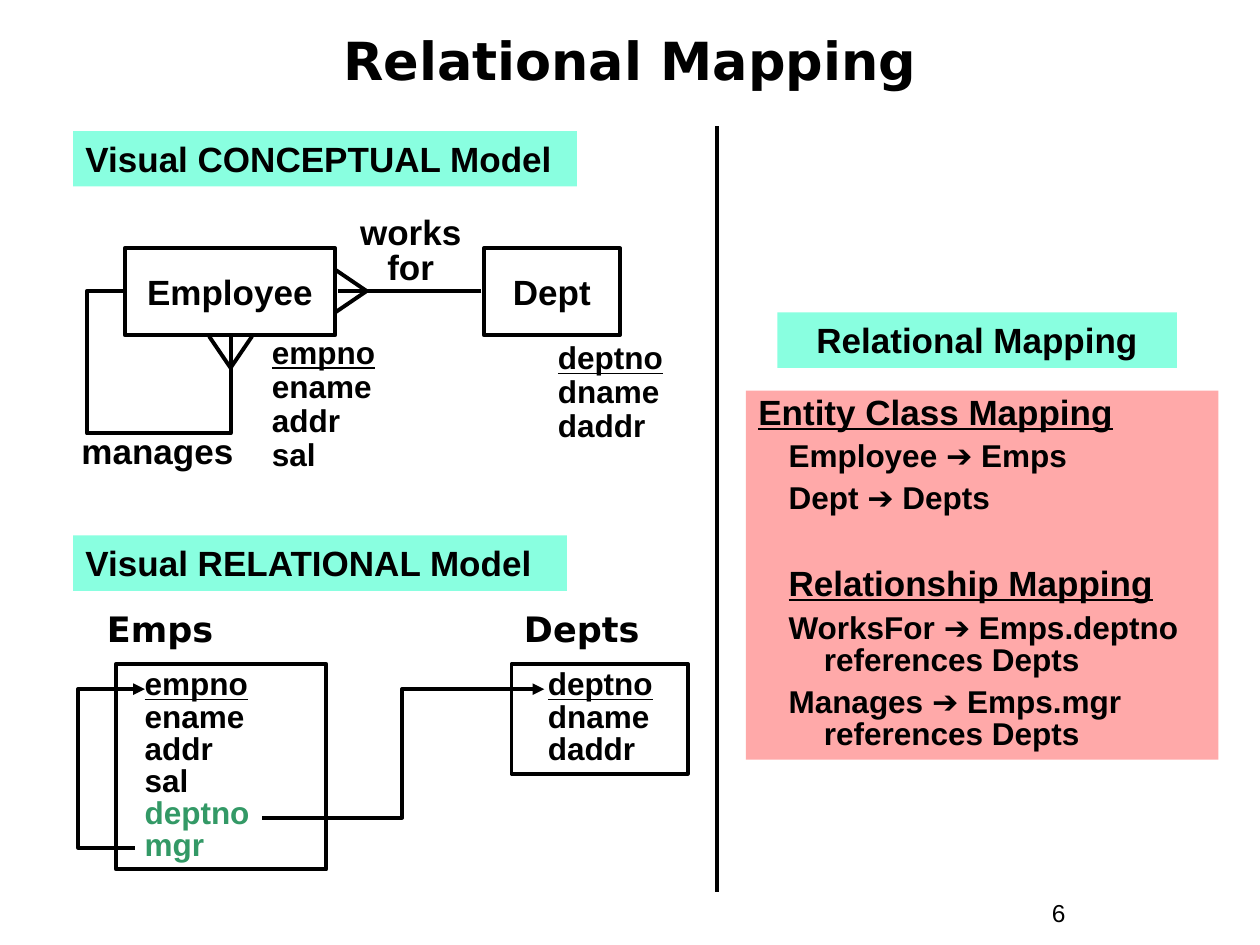
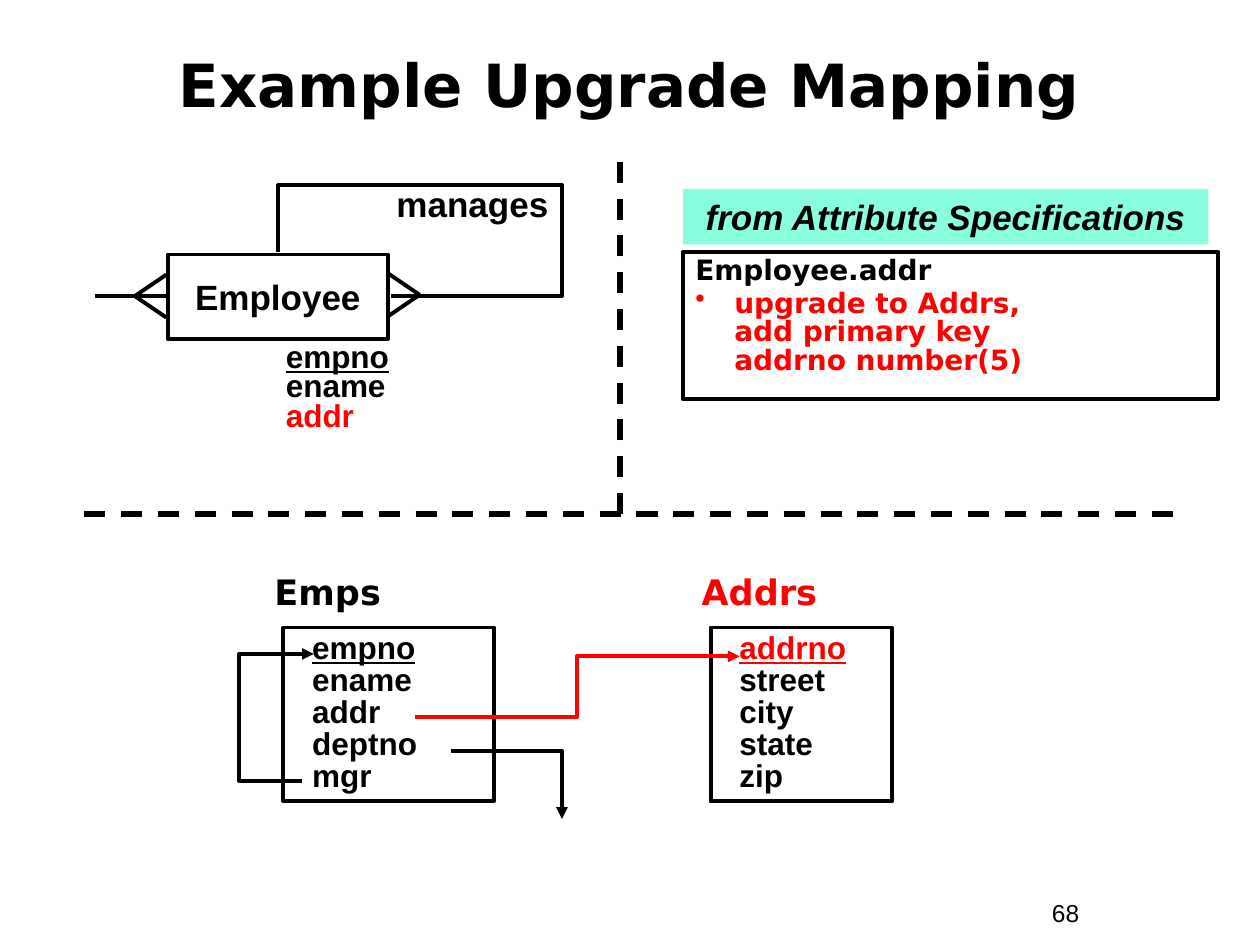
from dataclasses import dataclass, replace
from typing import Optional, Sequence

from lxml.etree import SubElement
from pptx import Presentation
from pptx.dml.color import RGBColor
from pptx.enum.dml import MSO_LINE
from pptx.enum.shapes import MSO_CONNECTOR as Connector, MSO_SHAPE as Preset
from pptx.enum.text import MSO_ANCHOR as Anchor, PP_ALIGN as Align
from pptx.oxml.ns import qn
from pptx.util import Inches, Pt

# Shared look
BLACK = RGBColor(0x00, 0x00, 0x00)
RED = RGBColor(0xFF, 0x00, 0x00)
GREEN = RGBColor(0x33, 0x99, 0x66)
MINT = RGBColor(0x89, 0xFF, 0xE0)
PINK = RGBColor(0xFF, 0xA9, 0xA9)
BODY_FONT = "Arial"
HEAD_FONT = "DejaVu Sans"
LINE_WIDTH = 2.25
DASH_WIDTH = 3
BAND_HEIGHT = 0.44
TABLE_SPACING = 0.85
FOOT_LENGTH = 0.25
FOOT_SPREAD = 0.17

Point = tuple[float, float]


@dataclass(frozen=True)
class Area:
    left: float
    top: float
    width: float
    height: float

    def lengths(self) -> list:
        return [Inches(v) for v in (self.left, self.top, self.width, self.height)]


@dataclass(frozen=True)
class Line:
    """One paragraph; a newline in the text is a line break."""
    text: str
    size: float = 20
    color: RGBColor = BLACK
    font: str = BODY_FONT
    bold: bool = True
    italic: bool = False
    underline: bool = False
    align: Align = Align.LEFT
    spacing: float = 1.0
    before: float = 0
    left: float = 0
    hang: float = 0
    bullet: bool = False


# Text
def write(shape, lines: Sequence[Line], anchor: Anchor = Anchor.TOP, wrap: bool = True) -> None:
    frame = shape.text_frame
    frame.word_wrap = wrap
    frame.vertical_anchor = anchor
    for index, line in enumerate(lines):
        para = frame.add_paragraph() if index else frame.paragraphs[0]
        para.alignment = line.align
        para.line_spacing = line.spacing
        if index and line.before:
            para.space_before = Pt(line.before)
        props = para._p.get_or_add_pPr()
        props.set("marL", str(Inches(line.left)))
        props.set("indent", str(-Inches(line.hang)))
        if line.bullet:
            color = SubElement(props, qn("a:buClr"))
            SubElement(color, qn("a:srgbClr")).set("val", str(line.color))
            SubElement(props, qn("a:buChar")).set("char", "•")
        for row, part in enumerate(line.text.split("\n")):
            if row:
                para.add_line_break()
            span = para.add_run()
            span.text = part
            font = span.font
            font.name, font.size, font.color.rgb = line.font, Pt(line.size), line.color
            font.bold, font.italic, font.underline = line.bold, line.italic, line.underline


def add_text(page, area: Area, lines: Sequence[Line], anchor: Anchor = Anchor.TOP) -> None:
    write(page.shapes.add_textbox(*area.lengths()), lines, anchor)


def add_box(page, area: Area, lines: Sequence[Line], fill: Optional[RGBColor] = None,
            anchor: Anchor = Anchor.TOP, wrap: bool = True) -> None:
    """A filled panel, or an outlined box when there is no fill."""
    box = page.shapes.add_shape(Preset.RECTANGLE, *area.lengths())
    box.shadow.inherit = False
    if fill is None:
        box.fill.background()
        box.line.color.rgb = BLACK
        box.line.width = Pt(LINE_WIDTH)
    else:
        box.fill.solid()
        box.fill.fore_color.rgb = fill
        box.line.fill.background()
    write(box, lines, anchor, wrap)


# Lines
def style_line(shape, color: RGBColor = BLACK, arrow: bool = False, dashed: bool = False) -> None:
    shape.line.color.rgb = color
    shape.line.width = Pt(DASH_WIDTH if dashed else LINE_WIDTH)
    if dashed:
        shape.line.dash_style = MSO_LINE.DASH
    props = shape.element.spPr
    if arrow:
        SubElement(props.find(qn("a:ln")), qn("a:tailEnd")).set("type", "triangle")
    SubElement(props, qn("a:effectLst"))


def add_connector(page, kind: Connector, start: Point, end: Point):
    return page.shapes.add_connector(kind, *(Inches(v) for v in (*start, *end)))


def add_line(page, start: Point, end: Point, dashed: bool = False) -> None:
    style_line(add_connector(page, Connector.STRAIGHT, start, end), dashed=dashed)


def add_reference(page, start: Point, end: Point, lane: float, color: RGBColor = BLACK) -> None:
    """Foreign key arrow whose upright part runs at x = lane."""
    link = add_connector(page, Connector.ELBOW, start, end)
    ratio = (lane - start[0]) / (end[0] - start[0])
    guide = SubElement(link.element.spPr.find(qn("a:prstGeom")).find(qn("a:avLst")), qn("a:gd"))
    guide.set("name", "adj1")
    guide.set("fmla", f"val {round(ratio * 100000)}")
    style_line(link, color, arrow=True)


def add_route(page, points: Sequence[Point], arrow: bool = False) -> None:
    """Open path through the given corners."""
    corners = [(Inches(x), Inches(y)) for x, y in points]
    builder = page.shapes.build_freeform(*corners[0])
    builder.add_line_segments(corners[1:], close=False)
    route = builder.convert_to_shape()
    route.fill.background()
    style_line(route, arrow=arrow)


def add_crows_foot(page, tip: Point, toward: Point) -> None:
    """Two toes that spread from the tip to the entity in the unit direction toward."""
    (x, y), (dx, dy) = tip, toward
    for side in (-FOOT_SPREAD, FOOT_SPREAD):
        add_line(page, tip, (x + dx * FOOT_LENGTH + dy * side, y + dy * FOOT_LENGTH + dx * side))


# Parts of the diagrams
def add_page(deck, title: str, area: Area, size: float, number: int):
    page = deck.slides.add_slide(deck.slide_layouts[6])
    add_text(page, Area(8.25, 7.08, 0.92, 0.34), [Line(str(number), 14, bold=False)])
    add_text(page, area, [Line(title, size, font=HEAD_FONT, align=Align.CENTER)], Anchor.MIDDLE)
    return page


def add_band(page, left: float, top: float, width: float, line: Line) -> None:
    add_box(page, Area(left, top, width, BAND_HEIGHT), [line], MINT)


def add_entity(page, area: Area, name: str) -> None:
    add_box(page, area, [Line(name, align=Align.CENTER)], anchor=Anchor.MIDDLE, wrap=False)


def add_label(page, area: Area, text: str, spacing: float = 1.0) -> None:
    add_text(page, area, [Line(text, align=Align.CENTER, spacing=spacing)])


def field_lines(names: str, spacing: float, left: float = 0,
                colors: Optional[dict[str, RGBColor]] = None) -> list[Line]:
    """Field names, with the key in front underlined."""
    return [Line(name, 18, (colors or {}).get(name, BLACK), underline=index == 0,
                 spacing=spacing, left=left)
            for index, name in enumerate(names.split())]


def add_attributes(page, area: Area, lines: Sequence[Line]) -> None:
    add_text(page, area, lines)


def add_relation(page, name: str, name_left: float, area: Area, names: str, indent: float = 0.13,
                 name_color: RGBColor = BLACK,
                 colors: Optional[dict[str, RGBColor]] = None) -> None:
    heading = Area(name_left, area.top - 0.5, 2.15, BAND_HEIGHT)
    add_text(page, heading, [Line(name, color=name_color, font=HEAD_FONT)])
    add_box(page, area, field_lines(names, TABLE_SPACING, indent, colors))


def build_relational_mapping(deck) -> None:
    page = add_page(deck, "Relational Mapping", Area(0.25, 0.22, 9.5, 0.5), 30, 6)
    add_line(page, (5.69, 1), (5.69, 7.08))

    # Conceptual model
    add_band(page, 0.58, 1.04, 4, Line("Visual CONCEPTUAL Model"))
    add_entity(page, Area(0.99, 1.97, 1.67, 0.69), "Employee")
    add_entity(page, Area(3.84, 1.97, 1.08, 0.69), "Dept")
    add_line(page, (3.82, 2.31), (2.68, 2.31))
    add_crows_foot(page, (2.91, 2.31), (-1, 0))
    add_label(page, Area(2.51, 1.67, 1.5, 0.67), "works\nfor", 0.85)
    add_route(page, [(0.98, 2.31), (0.69, 2.31), (0.69, 3.44), (1.83, 3.44), (1.83, 2.67)])
    add_crows_foot(page, (1.83, 2.92), (0, -1))
    add_label(page, Area(0.5, 3.36, 1.5, BAND_HEIGHT), "manages")
    add_attributes(page, Area(2.06, 2.63, 1.42, 1.18), field_lines("empno ename addr sal", 0.9))
    add_attributes(page, Area(4.33, 2.67, 1.42, 0.91), field_lines("deptno dname daddr", 0.9))

    # Relational model
    add_band(page, 0.58, 4.25, 3.92, Line("Visual RELATIONAL Model"))
    add_relation(page, "Emps", 0.75, Area(0.92, 5.27, 1.67, 1.63),
                 "empno ename addr sal deptno mgr", colors={"deptno": GREEN, "mgr": GREEN})
    add_relation(page, "Depts", 4.06, Area(4.06, 5.27, 1.4, 0.87), "deptno dname daddr", 0.19)
    add_reference(page, (2.08, 6.49), (4.32, 5.47), 3.19)
    add_reference(page, (1.07, 6.73), (1.15, 5.47), 0.62)

    # Mapping rules
    add_band(page, 6.17, 2.48, 3.17, Line("Relational Mapping", align=Align.CENTER))
    heading = Line("Entity Class Mapping", underline=True, spacing=0.85)
    rule = Line("Employee ➔ Emps", 18, spacing=0.85, before=5.6, left=0.24)
    wrapped = replace(rule, left=0.52, hang=0.28)
    add_box(page, Area(5.92, 3.1, 3.75, 2.93), [
        heading,
        rule,
        replace(rule, text="Dept ➔ Depts"),
        replace(heading, text="Relationship Mapping", before=29.4, left=0.24),
        replace(wrapped, text="WorksFor ➔ Emps.deptno\nreferences Depts"),
        replace(wrapped, text="Manages ➔ Emps.mgr\nreferences Depts"),
    ], PINK)


def build_upgrade_mapping(deck) -> None:
    page = add_page(deck, "Example Upgrade Mapping", Area(0.33, 0.33, 9.33, 0.67), 34, 68)
    add_line(page, (0.67, 4.08), (9.33, 4.08), dashed=True)
    add_line(page, (4.92, 4.08), (4.92, 1.17), dashed=True)

    # Conceptual model
    add_entity(page, Area(1.33, 2.02, 1.75, 0.67), "Employee")
    add_line(page, (0.75, 2.35), (1.33, 2.35))
    add_crows_foot(page, (1.07, 2.35), (1, 0))
    add_route(page, [(2.21, 2), (2.21, 1.47), (4.46, 1.47), (4.46, 2.35), (3.1, 2.35)])
    add_crows_foot(page, (3.33, 2.34), (-1, 0))
    add_label(page, Area(3, 1.4, 1.5, BAND_HEIGHT), "manages")
    fields = field_lines("empno ename addr", 0.9, colors={"addr": RED})
    add_attributes(page, Area(2.17, 2.66, 1.33, 0.84),
                   [replace(field, spacing=spacing)
                    for field, spacing in zip(fields, (0.9, 0.75, 0.8))])

    # Attribute specification
    add_band(page, 5.42, 1.5, 4.17,
             Line("from Attribute Specifications", italic=True, align=Align.CENTER))
    target = Line("Employee.addr", 16, font=HEAD_FONT, spacing=0.85, before=2,
                  left=0.31, hang=0.31)
    upgrade = replace(target, text="upgrade to Addrs,\nadd primary key\naddrno number(5)",
                      color=RED, bullet=True)
    add_box(page, Area(5.42, 2, 4.25, 1.17), [target, upgrade])

    # Relational model
    add_relation(page, "Emps", 2.08, Area(2.25, 4.98, 1.67, 1.38), "empno ename addr deptno mgr")
    add_relation(page, "Addrs", 5.47, Area(5.64, 4.98, 1.44, 1.38),
                 "addrno street city state zip", name_color=RED, colors={"addrno": RED})
    add_reference(page, (2.4, 6.2), (2.49, 5.19), 1.9)
    add_reference(page, (3.29, 5.69), (5.87, 5.21), 4.58, RED)
    add_route(page, [(3.58, 5.96), (4.46, 5.96), (4.46, 6.5)], arrow=True)


def main() -> None:
    deck = Presentation()
    deck.slide_width, deck.slide_height = Inches(10), Inches(7.5)
    build_relational_mapping(deck)
    build_upgrade_mapping(deck)
    deck.save("out.pptx")


if __name__ == "__main__":
    main()
